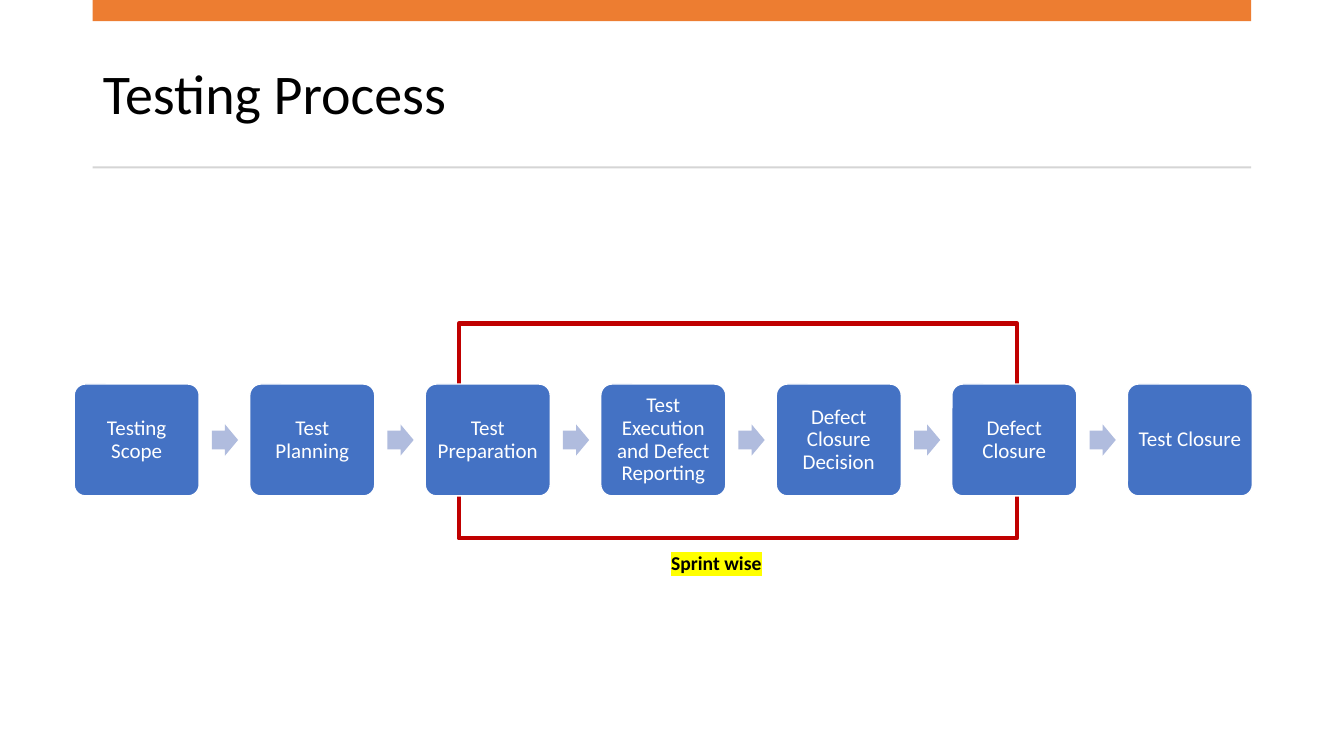
from dataclasses import dataclass

from lxml.etree import SubElement
from pptx import Presentation
from pptx.dml.color import RGBColor
from pptx.enum.shapes import MSO_SHAPE as Shape
from pptx.enum.text import MSO_ANCHOR as Anchor, MSO_AUTO_SIZE as AutoSize, PP_ALIGN as Align
from pptx.oxml.ns import qn
from pptx.util import Inches, Pt

SLIDE_W, SLIDE_H = Inches(13.33), Inches(7.5)
ORANGE, GREY, RED = "ED7D31", "D5D5D5", "C00000"
BLUE, PALE_BLUE = "4472C4", "B0BCDE"
WHITE, BLACK, YELLOW = "FFFFFF", "000000", "FFFF00"


@dataclass
class Area:
    """A rectangle in percent of the slide's width and height."""
    x: float
    y: float
    w: float
    h: float

    def emu(self) -> tuple[int, int, int, int]:
        return (int(SLIDE_W * self.x / 100), int(SLIDE_H * self.y / 100),
                int(SLIDE_W * self.w / 100), int(SLIDE_H * self.h / 100))


# Grid: content column, step boxes and arrows
LEFT, WIDTH = 6.9, 86.2
STEP = Area(5.52, 50.8, 9.3, 14.8)
PITCH = 13.06
ARROW_DX, ARROW_W, ARROW_H = 10.25, 1.95, 4.13

STEPS = ["Testing Scope", "Test Planning", "Test Preparation",
         "Test Execution and Defect Reporting", "Defect Closure Decision",
         "Defect Closure", "Test Closure"]


def rgb(value: str) -> RGBColor:
    return RGBColor.from_string(value)


def add_text(sp, text: str, *, size: float, color: str, align=Align.LEFT,
             anchor=Anchor.TOP, bold=False, spacing=1.0, margin=None, highlight=None):
    tf = sp.text_frame
    tf.word_wrap = True
    tf.auto_size = AutoSize.NONE
    tf.vertical_anchor = anchor
    if margin is not None:
        tf.margin_left = tf.margin_right = tf.margin_top = tf.margin_bottom = Inches(margin)
    p = tf.paragraphs[0]
    p.alignment, p.line_spacing = align, spacing
    r = p.add_run()
    r.text = text
    r.font.size, r.font.bold = Pt(size), bold
    r.font.color.rgb = rgb(color)
    if highlight:
        mark = SubElement(r._r.get_or_add_rPr(), qn("a:highlight"))
        SubElement(mark, qn("a:srgbClr"), val=highlight)
    r.font.name = "Calibri"


def add_box(s, kind, area: Area, fill: str, line=None, line_width=1.0, adjust=()):
    sp = s.shapes.add_shape(kind, *area.emu())
    sp.shadow.inherit = False
    sp.fill.solid()
    sp.fill.fore_color.rgb = rgb(fill)
    if line:
        sp.line.color.rgb = rgb(line)
        sp.line.width = Pt(line_width)
    else:
        sp.line.fill.background()
    for i, value in enumerate(adjust):
        sp.adjustments[i] = value
    return sp


def main() -> None:
    prs = Presentation()
    prs.slide_width, prs.slide_height = SLIDE_W, SLIDE_H
    s = prs.slides.add_slide(prs.slide_layouts[5])

    # Title with the bar above and the rule below
    title = s.shapes.title
    title.left, title.top, title.width, title.height = Area(LEFT, 4.93, WIDTH, 15.73).emu()
    add_text(title, "Testing Process", size=40, color=BLACK, anchor=Anchor.MIDDLE, spacing=0.9)
    add_box(s, Shape.RECTANGLE, Area(LEFT, 0, WIDTH, 2.8), ORANGE)
    add_box(s, Shape.RECTANGLE, Area(LEFT, 22, WIDTH, 0.27), GREY)

    # Sprint frame behind the steps
    add_box(s, Shape.RECTANGLE, Area(34.13, 42.8, 41.55, 28.4), WHITE, RED, 3)

    # Steps joined by arrows
    arrow_y = STEP.y + (STEP.h - ARROW_H) / 2
    for i, name in enumerate(STEPS):
        x = STEP.x + i * PITCH
        step = add_box(s, Shape.ROUNDED_RECTANGLE, Area(x, STEP.y, STEP.w, STEP.h),
                       BLUE, WHITE, adjust=(0.1,))
        add_text(step, name, size=15, color=WHITE, align=Align.CENTER,
                 anchor=Anchor.MIDDLE, spacing=0.9, margin=0.06)
        if i < len(STEPS) - 1:
            add_box(s, Shape.RIGHT_ARROW, Area(x + ARROW_DX, arrow_y, ARROW_W, ARROW_H),
                    PALE_BLUE, adjust=(0.6, 0.5))

    # Caption under the frame
    caption = s.shapes.add_textbox(*Area(49.2, 72.27, 9.75, 4.53).emu())
    add_text(caption, "Sprint wise", size=14, color=BLACK, bold=True, highlight=YELLOW)

    prs.save("out.pptx")


if __name__ == "__main__":
    main()
